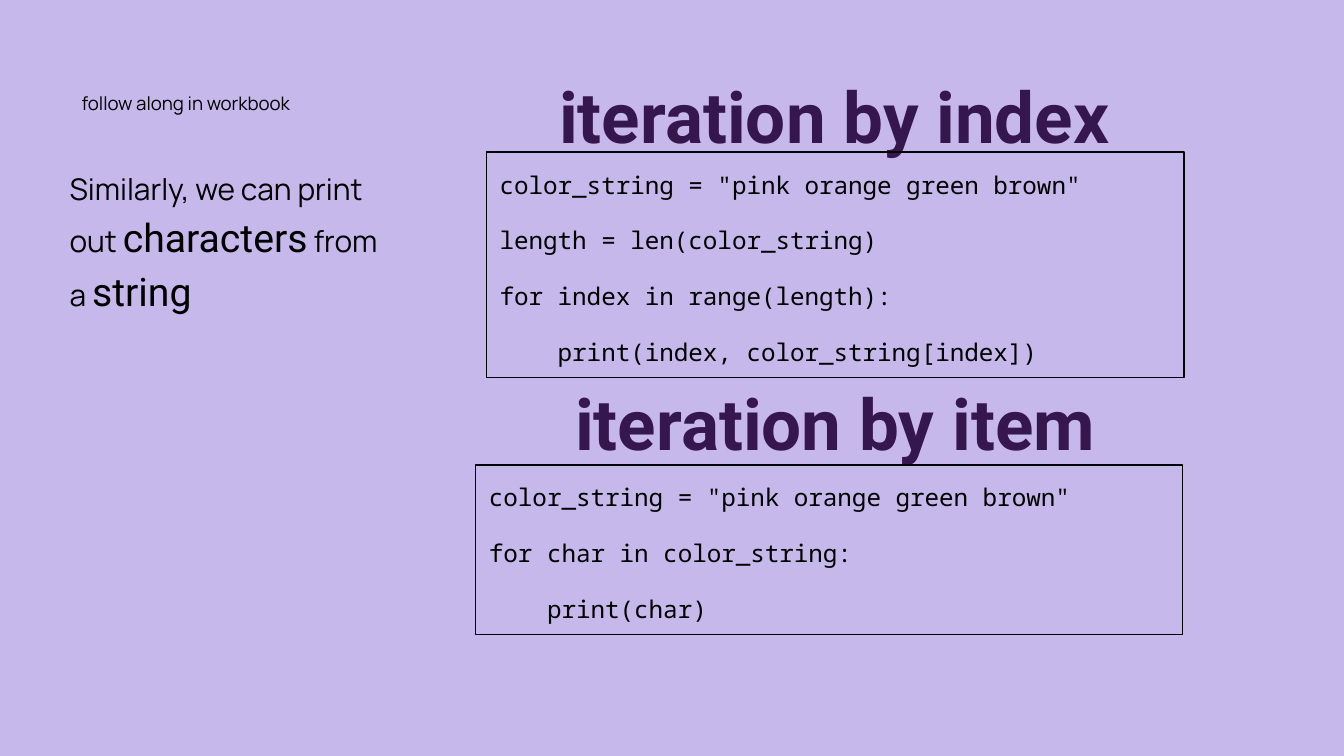
from pptx import Presentation
from pptx.dml.color import RGBColor
from pptx.enum.shapes import MSO_SHAPE
from pptx.enum.text import MSO_ANCHOR, MSO_AUTO_SIZE, PP_ALIGN as Align
from pptx.util import Pt

THEME = {
    "background": "C6B8EB",
    "note": {"font": "Manrope", "size": 10, "color": "000000"},
    "body": {"font": "Manrope", "size": 16, "color": "000000"},
    "term": {"font": "Roboto", "size": 21, "color": "000000"},
    "code": {"font": "Noto Sans Mono", "size": 13, "color": "000000"},
    "heading": {"font": "Roboto", "size": 38, "color": "36174D", "bold": True},
    "line": "000000",
    "line_width": 0.75,
    "inset": 7.2,
    "gap": 12,
}

# Boxes are left, top, width, height in points.
NOTE_BOX = (36.7, 40.3, 132.5, 26.6)
NOTE = [[("follow along in workbook", "note")]]

INTRO_BOX = (30.2, 81.4, 181.4, 91.4)
INTRO = [[
    ("Similarly, we can print out ", "body"),
    ("characters", "term"),
    (" from a ", "body"),
    ("string", "term"),
]]

EXAMPLES = [
    {
        "heading": "iteration by index",
        "heading_box": (277.9, 40.3, 338.4, 51.1),
        "code_box": (260.6, 81.4, 373.7, 121),
        "code": [
            'color_string = "pink orange green brown"',
            "length = len(color_string)",
            "for index in range(length):",
            "    print(index, color_string[index])",
        ],
    },
    {
        "heading": "iteration by item",
        "heading_box": (260.6, 205.2, 373.7, 51.1),
        "code_box": (254.9, 249.1, 378.7, 90.7),
        "code": [
            'color_string = "pink orange green brown"',
            "for char in color_string:",
            "    print(char)",
        ],
    },
]


def write_text(shape, paragraphs, align=Align.LEFT, line_spacing=1.15, before=0, after=0):
    """Write paragraphs of (text, style) runs, with before between and after at the end."""
    frame = shape.text_frame
    frame.word_wrap = True
    frame.auto_size = MSO_AUTO_SIZE.SHAPE_TO_FIT_TEXT
    frame.vertical_anchor = MSO_ANCHOR.TOP
    frame.margin_left = frame.margin_right = Pt(THEME["inset"])
    frame.margin_top = frame.margin_bottom = Pt(THEME["inset"])
    for index, runs in enumerate(paragraphs):
        paragraph = frame.add_paragraph() if index else frame.paragraphs[0]
        paragraph.alignment = align
        paragraph.line_spacing = line_spacing
        paragraph.space_before = Pt(before if index else 0)
        paragraph.space_after = Pt(after if index == len(paragraphs) - 1 else 0)
        for text, style_name in runs:
            style = THEME[style_name]
            run = paragraph.add_run()
            run.text = text
            run.font.name = style["font"]
            run.font.size = Pt(style["size"])
            run.font.bold = style.get("bold", False)
            run.font.color.rgb = RGBColor.from_string(style["color"])


def add_text(shapes, box, paragraphs, **text_format):
    write_text(shapes.add_textbox(*map(Pt, box)), paragraphs, **text_format)


def add_code(shapes, box, lines):
    shape = shapes.add_shape(MSO_SHAPE.RECTANGLE, *map(Pt, box))
    shape.shadow.inherit = False
    shape.fill.background()
    shape.line.color.rgb = RGBColor.from_string(THEME["line"])
    shape.line.width = Pt(THEME["line_width"])
    write_text(shape, [[(line, "code")] for line in lines],
               before=THEME["gap"], after=THEME["gap"])


def main():
    presentation = Presentation()
    presentation.slide_width, presentation.slide_height = Pt(720), Pt(405)
    slide = presentation.slides.add_slide(presentation.slide_layouts[6])
    slide.background.fill.solid()
    slide.background.fill.fore_color.rgb = RGBColor.from_string(THEME["background"])

    for example in EXAMPLES:
        group = slide.shapes.add_group_shape()
        add_text(group.shapes, example["heading_box"], [[(example["heading"], "heading")]],
                 align=Align.CENTER, line_spacing=0.8)
        add_code(group.shapes, example["code_box"], example["code"])

    add_text(slide.shapes, INTRO_BOX, INTRO, after=THEME["gap"])
    add_text(slide.shapes, NOTE_BOX, NOTE, after=THEME["gap"])
    presentation.save("out.pptx")


if __name__ == "__main__":
    main()
